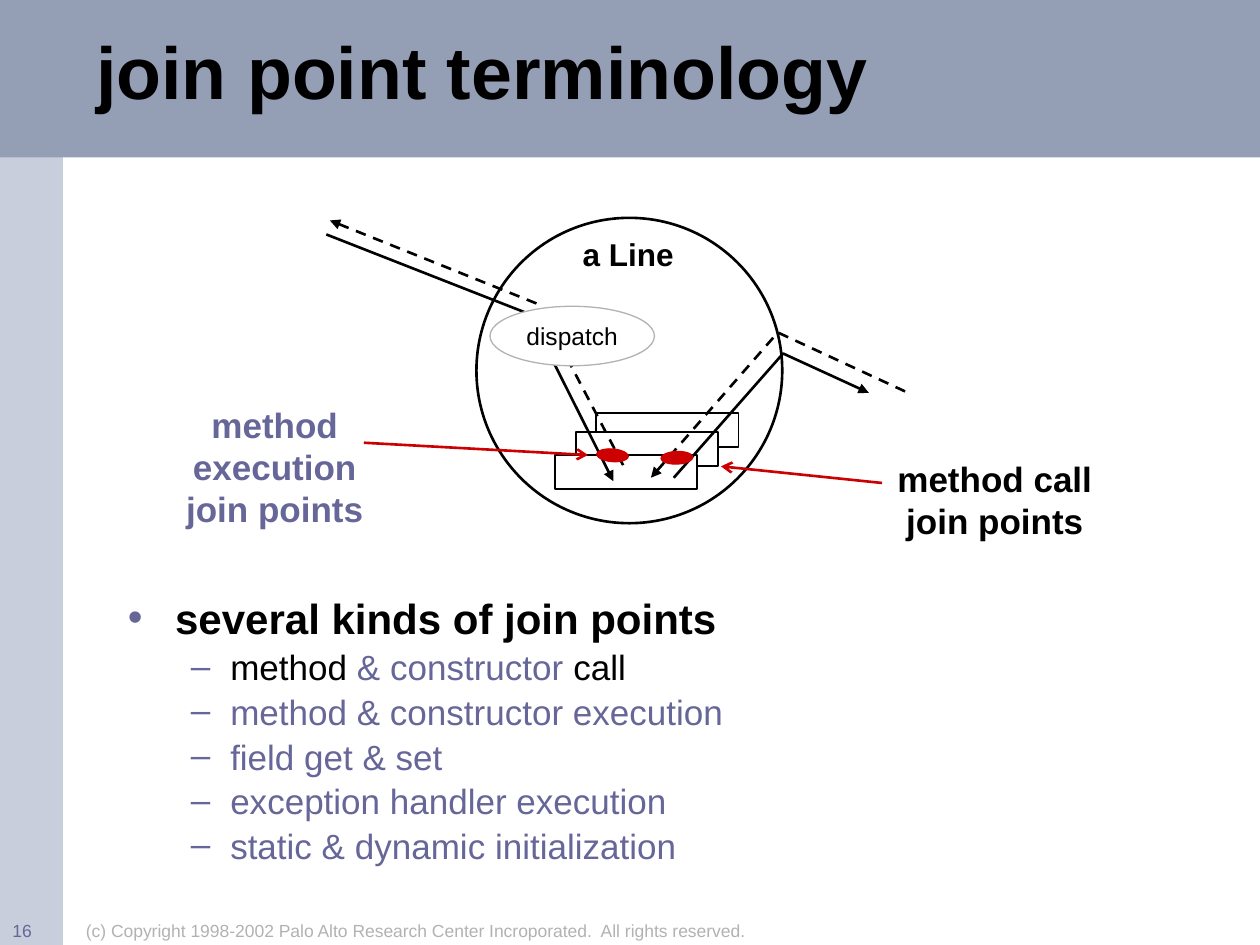
"""Builds a slide on join point terminology."""
from lxml import etree
from pptx import Presentation
from pptx.dml.color import RGBColor
from pptx.enum import dml, shapes, text
from pptx.oxml import ns
from pptx.util import Pt

BLACK = RGBColor(0, 0, 0)
WHITE = RGBColor(255, 255, 255)
PURPLE = RGBColor(0x66, 0x66, 0x99)
GRAY = RGBColor(0xB2, 0xB2, 0xB2)
RED = RGBColor(0xCC, 0, 0)
HEADER = RGBColor(0x94, 0x9F, 0xB6)
SIDEBAR = RGBColor(0xC8, 0xCE, 0xDC)
RECT, OVAL = shapes.MSO_SHAPE.RECTANGLE, shapes.MSO_SHAPE.OVAL
CENTER = text.PP_ALIGN.CENTER

TITLE = "join point terminology"
HEADING = "several kinds of join points"
KINDS = [
    [("method ", BLACK), ("& constructor", PURPLE), (" call", BLACK)],
    [("method & constructor execution", PURPLE)],
    [("field get & set", PURPLE)],
    [("exception handler execution", PURPLE)],
    [("static & dynamic initialization", PURPLE)],
]
FOOTER = "(c) Copyright 1998-2002 Palo Alto Research Center Incroporated.  All rights reserved."

METHODS = [(340.5, 236), (329, 247), (317, 260)]
INCOMING = [
    ([(186.5, 134), (302.5, 179.5), (350.5, 275)], "tailEnd", False),
    ([(188.5, 126), (308, 174), (358, 269.5)], "headEnd", True),
]
OUTGOING = [
    ([(372, 273), (444.5, 190), (519, 224.5)], "headEnd", True),
    ([(385, 273), (447.5, 202), (496.5, 224.5)], "tailEnd", False),
]
JOIN_POINTS = [(350, 260.2, 4.6), (386.8, 261.6, -2.2)]
POINTERS = [((208, 253), (336, 260)), ((504, 276), (412, 266.5))]

prs = Presentation()
prs.slide_width, prs.slide_height = Pt(720), Pt(540)
s = prs.slides.add_slide(prs.slide_layouts[6])


def add_text(p, words, size=20, color=BLACK, bold=False, align=None):
    p.alignment = align
    r = p.add_run()
    r.text = words
    r.font.name, r.font.size, r.font.bold = "Arial", Pt(size), bold
    r.font.color.rgb = color


def add_box(x, y, w, h, anchor=text.MSO_ANCHOR.TOP):
    tf = s.shapes.add_textbox(Pt(x), Pt(y), Pt(w), Pt(h)).text_frame
    tf.word_wrap, tf.vertical_anchor = True, anchor
    return tf


def add_label(x, y, w, h, words, **fmt):
    add_text(add_box(x, y, w, h).paragraphs[0], words, **fmt)


def add_shape(kind, x, y, w, h, fill=None, line=None, width=1):
    sp = s.shapes.add_shape(kind, Pt(x), Pt(y), Pt(w), Pt(h))
    sp.shadow.inherit = False
    if fill is None:
        sp.fill.background()
    else:
        sp.fill.solid()
        sp.fill.fore_color.rgb = fill
    if line is None:
        sp.line.fill.background()
    else:
        sp.line.color.rgb, sp.line.width = line, Pt(width)
    return sp


def style_arrow(sp, color, end, head, dashed=False):
    sp.line.color.rgb, sp.line.width = color, Pt(1.5)
    if dashed:
        sp.line.dash_style = dml.MSO_LINE.DASH
    etree.SubElement(sp.line._get_or_add_ln(), ns.qn("a:" + end), type=head)


def add_path(points, end, dashed):
    start, *rest = [(Pt(x), Pt(y)) for x, y in points]
    builder = s.shapes.build_freeform(*start)
    builder.add_line_segments(rest, close=False)
    sp = builder.convert_to_shape()
    sp.shadow.inherit = False
    sp.fill.background()
    style_arrow(sp, BLACK, end, "triangle", dashed)


def add_pointer(start, end):
    line = s.shapes.add_connector(
        shapes.MSO_CONNECTOR.STRAIGHT, *[Pt(v) for v in start + end])
    style_arrow(line, RED, "tailEnd", "arrow")
    etree.SubElement(line._element.spPr, ns.qn("a:effectLst"))


def set_bullet(p, char, left, hang):
    pPr = p._p.get_or_add_pPr()
    pPr.set("marL", str(Pt(left)))
    pPr.set("indent", str(-Pt(hang)))
    clr = etree.SubElement(pPr, ns.qn("a:buClr"))
    etree.SubElement(clr, ns.qn("a:srgbClr"), val=str(PURPLE))
    etree.SubElement(pPr, ns.qn("a:buFont"), typeface="Arial")
    etree.SubElement(pPr, ns.qn("a:buChar"), char=char)


add_shape(RECT, 0, 0, 36, 540, SIDEBAR)
add_shape(RECT, 0, 0, 720, 90, HEADER)
p = add_box(48, 6, 600, 75.5, text.MSO_ANCHOR.MIDDLE).paragraphs[0]
p.line_spacing = 0.85
add_text(p, TITLE, size=42, bold=True)

tf = add_box(66, 342, 594, 162)
p = tf.paragraphs[0]
p.line_spacing = 0.75
set_bullet(p, "•", 27, 27)
add_text(p, HEADING, size=24, bold=True)
for runs in KINDS:
    p = tf.add_paragraph()
    p.level, p.line_spacing, p.space_before = 1, 0.75, Pt(7.5)
    set_bullet(p, "–", 58.5, 22.5)
    for words, color in runs:
        add_text(p, words, color=color)

for x, y in METHODS:
    add_shape(RECT, x, y, 81.5, 19.5, WHITE, BLACK)
add_shape(OVAL, 272.25, 124.5, 174.75, 174.5, line=BLACK, width=1.5)
add_label(317, 131, 84, 29, "a Line", size=18, bold=True, align=CENTER)
for path in INCOMING:
    add_path(*path)
dispatch = add_shape(OVAL, 280, 175, 94, 34, WHITE, GRAY, 0.75)
tf = dispatch.text_frame
tf.word_wrap, tf.vertical_anchor = False, text.MSO_ANCHOR.MIDDLE
add_text(tf.paragraphs[0], "dispatch", size=14, align=CENTER)
for path in OUTGOING:
    add_path(*path)
for x, y, angle in JOIN_POINTS:
    add_shape(OVAL, x - 9, y - 3.6, 18, 7.2, RED, RED, 0.75).rotation = angle
for ends in POINTERS:
    add_pointer(*ends)
add_label(498, 258, 141, 55.5, "method call join points", bold=True, align=CENTER)
add_label(86.5, 227, 141, 79, "method execution join points",
          color=PURPLE, bold=True, align=CENTER)

add_label(42, 522, 402, 18, FOOTER, size=10, color=GRAY)
add_label(0, 522, 36, 18, "16", size=10, color=PURPLE)

prs.save("out.pptx")
